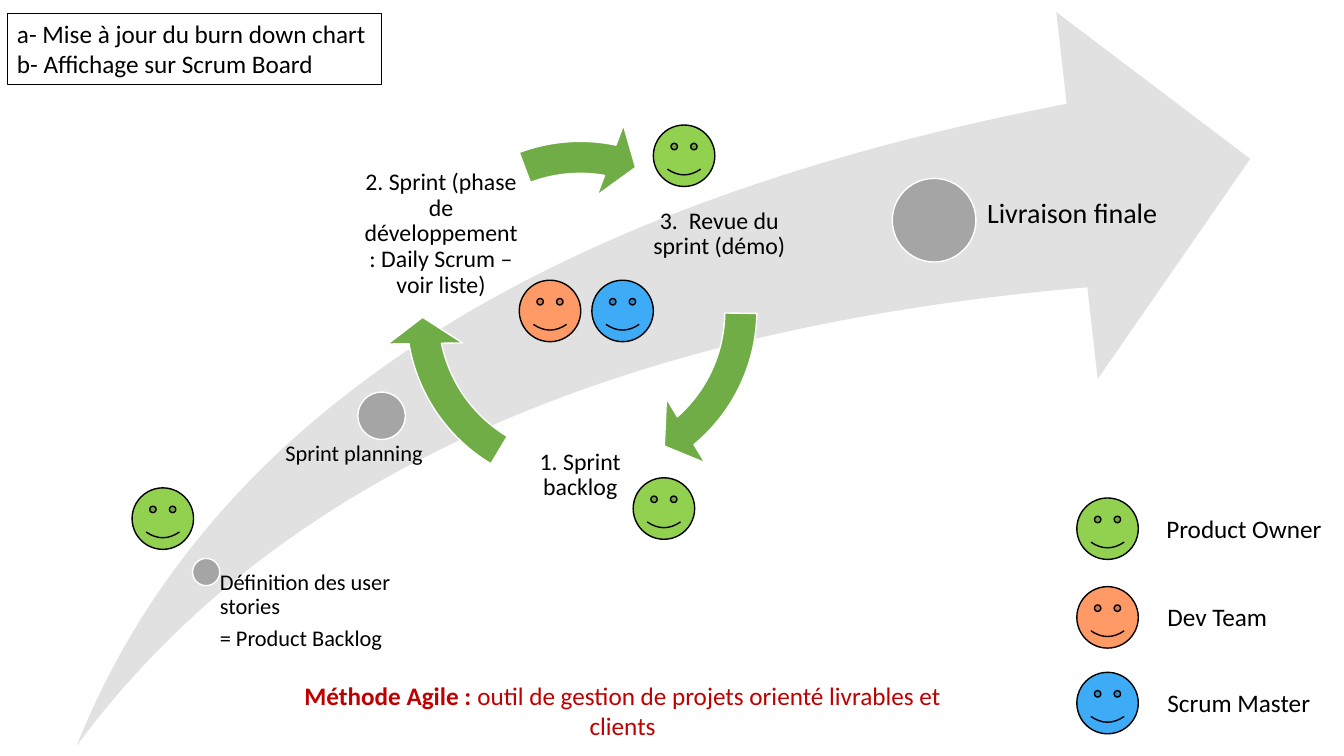
"""Builds the slide on the agile method: sprint cycle, milestones and roles."""
from dataclasses import dataclass

import pptx
import pptx.dml.color
import pptx.enum.shapes
import pptx.enum.text
import pptx.util

Inches = pptx.util.Inches
Pt = pptx.util.Pt
Shape = pptx.enum.shapes.MSO_SHAPE
Align = pptx.enum.text.PP_ALIGN
Anchor = pptx.enum.text.MSO_ANCHOR
AutoSize = pptx.enum.text.MSO_AUTO_SIZE


@dataclass(frozen=True)
class Theme:
    font: str = "Calibri"
    ink: str = "000000"
    accent: str = "C00000"
    paper: str = "FFFFFF"
    swoosh: str = "E1E1E1"
    milestone: str = "A5A5A5"
    cycle: str = "70AD47"
    owner: str = "92D050"
    developer: str = "FF9966"
    master: str = "3DABF5"
    milestone_size: int = 16
    step_size: int = 17
    body_size: int = 18
    goal_size: int = 20


class AgileSlide:
    def __init__(self, slide, theme):
        self.slide = slide
        self.theme = theme

    def colour(self, code):
        return pptx.dml.color.RGBColor.from_string(code)

    def figure(self, kind, box, fill, line=None, adjustments=()):
        figure = self.slide.shapes.add_shape(kind, *map(Inches, box))
        figure.shadow.inherit = False
        figure.fill.solid()
        figure.fill.fore_color.rgb = self.colour(fill)
        if line:
            figure.line.color.rgb = self.colour(line)
            figure.line.width = Pt(1)
        else:
            figure.line.fill.background()
        for index, value in enumerate(adjustments):
            figure.adjustments[index] = value

    def face(self, left, top, role_colour):
        self.figure(Shape.SMILEY_FACE, (left, top, 0.61, 0.61), role_colour, self.theme.ink)

    def milestone(self, left, top, size):
        self.figure(Shape.OVAL, (left, top, size, size), self.theme.milestone, self.theme.paper)

    def cycle_arrow(self, left, top, end, start):
        self.figure(Shape.CIRCULAR_ARROW, (left, top, 3.87, 3.87), self.theme.cycle,
                    self.theme.paper, (0.082, 5.756, end, start, 0.096))

    def text(self, box, lines, size, colour=None, align=Align.LEFT, wrap=True,
             insets=(0.1, 0.05, 0.1, 0.05), anchor=Anchor.TOP, tight=False, grow=False):
        label = self.slide.shapes.add_textbox(*map(Inches, box))
        frame = label.text_frame
        frame.word_wrap = wrap
        frame.auto_size = AutoSize.SHAPE_TO_FIT_TEXT if grow else AutoSize.NONE
        frame.vertical_anchor = anchor
        (frame.margin_left, frame.margin_top,
         frame.margin_right, frame.margin_bottom) = map(Inches, insets)
        frame.text = "\n".join(lines)
        for paragraph in frame.paragraphs:
            paragraph.alignment = align
            paragraph.font.name = self.theme.font
            paragraph.font.size = Pt(size)
            paragraph.font.color.rgb = self.colour(colour or self.theme.ink)
            if tight:
                paragraph.line_spacing = 0.9
                paragraph.space_after = Pt(5)
        return label

    def milestone_label(self, box, indent, lines, size):
        self.text(box, lines, size, insets=(indent, 0, 0, 0), tight=True)

    def step(self, left, top, words):
        self.text((left, top, 1.63, 1.63), [words], self.theme.step_size, align=Align.CENTER,
                  insets=(0.02,) * 4, anchor=Anchor.MIDDLE, tight=True)

    def tasks(self, box, lines):
        frame = self.text(box, lines, self.theme.body_size, wrap=False, grow=True)
        frame.line.color.rgb = self.colour(self.theme.ink)
        frame.line.width = Pt(0.25)

    def caption(self, box, lead, rest):
        caption = self.text(box, [""], self.theme.body_size, self.theme.accent,
                            Align.CENTER, grow=True)
        paragraph = caption.text_frame.paragraphs[0]
        for words, bold in ((lead, True), (rest, False)):
            run = paragraph.add_run()
            run.text = words
            run.font.bold = bold


theme = Theme()
deck = pptx.Presentation()
deck.slide_width = Inches(13.33)
deck.slide_height = Inches(7.5)
agile = AgileSlide(deck.slides.add_slide(deck.slide_layouts[6]), theme)

agile.figure(Shape.SWOOSH_ARROW, (0.76, 0.12, 11.64, 7.28), theme.swoosh,
             adjustments=(0.25, 0.25))

for left, top, size in ((1.91, 5.54, 0.27), (3.55, 3.89, 0.47), (8.85, 1.77, 0.83)):
    agile.milestone(left, top, size)
agile.milestone_label((2.04, 5.67, 1.99, 1.73), 0.14,
                      ["Définition des user stories", "= Product Backlog"],
                      theme.milestone_size)
agile.milestone_label((2.58, 4.39, 2.45, 2.74), 0.25, ["Sprint planning"],
                      theme.milestone_size)
agile.milestone_label((9.46, 1.98, 2.45, 4.5), 0.33, ["Livraison finale"], theme.goal_size)

for left, top, words in (
    (6.32, 1.51, "3.  Revue du sprint (démo)"),
    (4.94, 3.9, "1. Sprint backlog"),
    (3.56, 1.51, "2. Sprint (phase de développement : Daily Scrum – voir liste)"),
):
    agile.step(left, top, words)
for left, top, end, start in (
    (3.85, 1.15, 29.664, 0.5),
    (3.82, 1.19, 101.744, 72.581),
    (3.82, 1.19, 168.591, 149.654),
):
    agile.cycle_arrow(left, top, end, start)

for role, role_colour, left, top, width in (
    ("Product Owner", theme.owner, 11.47, 4.94, 1.76),
    ("Dev Team", theme.developer, 11.48, 5.82, 1.2),
    ("Scrum Master", theme.master, 11.48, 6.67, 1.63),
):
    agile.face(10.68, top, role_colour)
    agile.text((left, top + 0.1, width, 0.4), [role], theme.body_size, wrap=False, grow=True)

for left, top, role_colour in (
    (1.31, 4.84, theme.owner),
    (6.28, 4.74, theme.owner),
    (6.48, 1.24, theme.owner),
    (5.15, 2.78, theme.developer),
    (5.87, 2.78, theme.master),
):
    agile.face(left, top, role_colour)

agile.tasks((0.07, 0.13, 3.71, 0.71),
            ["a- Mise à jour du burn down chart", "b- Affichage sur Scrum Board"])
agile.caption((2.57, 6.7, 7.21, 0.71), "Méthode Agile : ",
              "outil de gestion de projets orienté livrables et clients")

deck.save("out.pptx")
